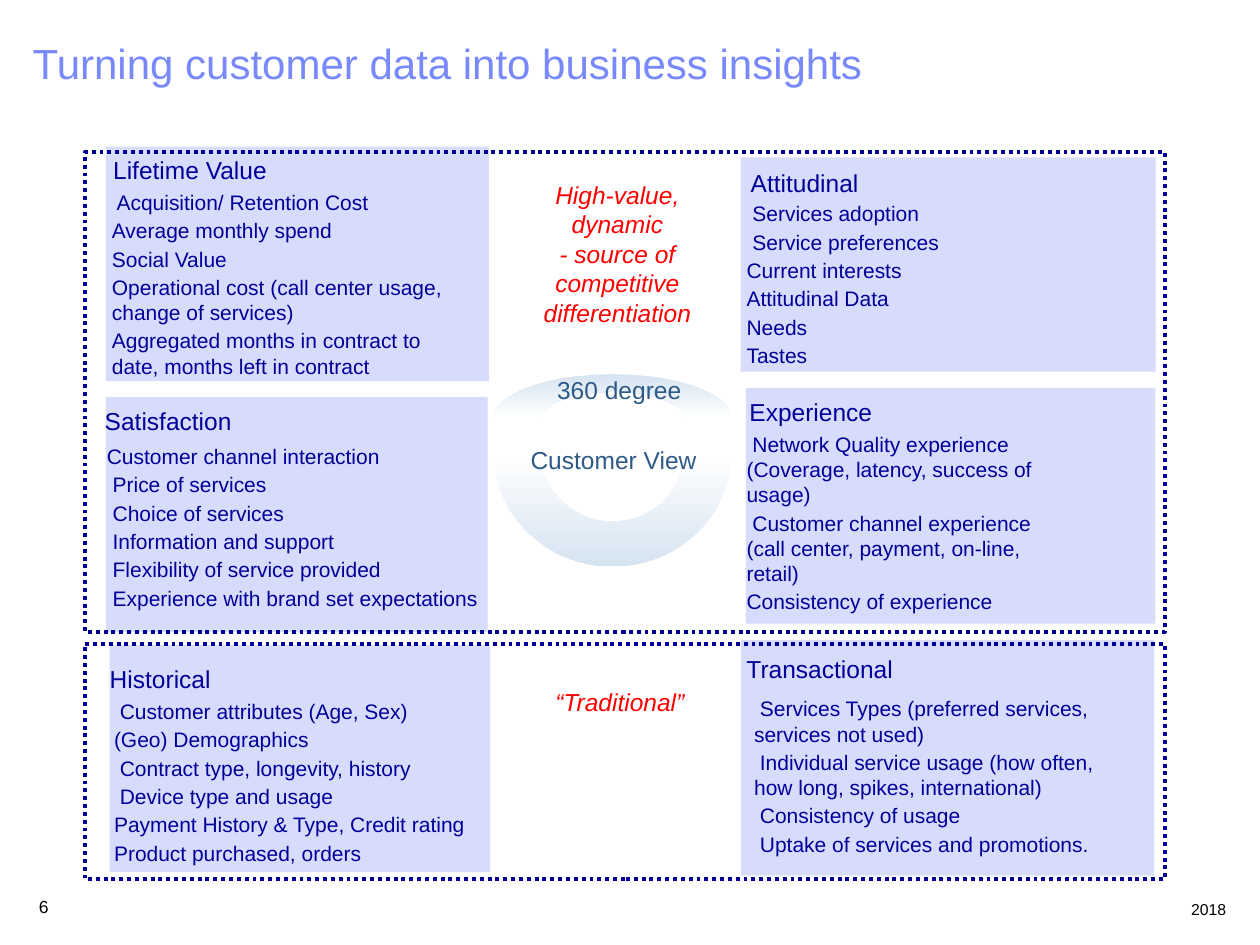
"""Build the slide on customer data and business insights."""
from lxml.etree import SubElement
from pptx import Presentation
from pptx.dml.color import RGBColor as Color
from pptx.enum.dml import MSO_LINE_DASH_STYLE as Dash
from pptx.enum.shapes import MSO_SHAPE as Shape
from pptx.enum.text import PP_ALIGN as Align
from pptx.oxml.ns import qn
from pptx.util import Inches, Pt

COLS, ROWS = 100, 75
WIDE, HIGH = Inches(10), Inches(7.5)
BEND = 0.55
NAVY = Color(0x00, 0x00, 0x99)
LILAC = Color(0xC3, 0xCA, 0xFD)
TITLE = Color(0x78, 0x89, 0xFB)
STEEL = Color(0x2D, 0x5A, 0x87)
PALE = Color(0xD6, 0xE4, 0xF2)
WHITE = Color(0xFF, 0xFF, 0xFF)
RED = Color(0xFF, 0x00, 0x00)
BLACK = Color(0x00, 0x00, 0x00)

PANELS = [
    ("Historical", (8.7, 51.2, 30.2, 18), (7.73, 52.2), (8.07, 55.35, 31.3, 13.5), [
        " Customer attributes (Age, Sex)",
        "(Geo) Demographics",
        " Contract type, longevity, history",
        " Device type and usage",
        "Payment History & Type, Credit rating",
        "Product purchased, orders"]),
    ("Transactional", (58.8, 50.8, 32.8, 18.7), (58.26, 51.4), (58.87, 55.13, 30.6, 13.1), [
        " Services Types (preferred services, services not used)",
        " Individual service usage (how often, how long, spikes, international)",
        " Consistency of usage",
        " Uptake of services and promotions."]),
    ("Satisfaction", (8.4, 31.5, 30.3, 18.7), (7.33, 31.7), (7.5, 35.12, 32.7, 13.7), [
        "Customer channel interaction",
        " Price of services",
        " Choice of services",
        " Information and support",
        " Flexibility of service provided",
        " Experience with brand set expectations"]),
    ("Experience", (59.2, 30.8, 32.5, 18.7), (58.5, 31), (58.27, 34.14, 28, 14.8), [
        " Network Quality experience (Coverage, latency, success of usage)",
        " Customer channel experience (call center, payment, on-line, retail)",
        "Consistency of experience"]),
    ("Attitudinal", (58.77, 12.5, 32.95, 17), (58.6, 12.85), (58.27, 15.84, 33.9, 13.7), [
        " Services adoption",
        " Service preferences",
        "Current interests",
        "Attitudinal Data",
        "Needs",
        "Tastes"]),
    ("Lifetime Value", (8.4, 11.65, 30.4, 18.6), (8, 11.8), (7.9, 14.94, 29.4, 15.4), [
        " Acquisition/ Retention Cost",
        "Average monthly spend",
        "Social Value",
        "Operational cost (call center usage, change of services)",
        "Aggregated months in contract to date, months left in contract"]),
]


def place(box):
    """Turn grid columns and rows into slide lengths."""
    left, top, wide, high = box
    return (int(left * WIDE / COLS), int(top * HIGH / ROWS),
            int(wide * WIDE / COLS), int(high * HIGH / ROWS))


def write(slide, box, text, size, color, align=Align.LEFT, italic=False,
          pad=0.05, side=0.1, wrap=True):
    """Add a text box with one paragraph per line of text."""
    frame = slide.shapes.add_textbox(*place(box)).text_frame
    frame.word_wrap = wrap
    frame.margin_top = frame.margin_bottom = Inches(pad)
    frame.margin_left = Inches(side)
    frame.text = text
    for rank, para in enumerate(frame.paragraphs):
        para.alignment = align
        if rank:
            para.space_before = Pt(0.15 * size)
        for run in para.runs:
            font = run.font
            font.name, font.size, font.italic = "Arial", Pt(size), italic
            font.color.rgb = color


def block(slide, box, color):
    """Add a plain filled rectangle without an outline."""
    rect = slide.shapes.add_shape(Shape.RECTANGLE, *place(box))
    rect.shadow.inherit = False
    rect.line.fill.background()
    rect.fill.solid()
    rect.fill.fore_color.rgb = color
    return rect


def panel(slide, head, area, spot, body, items):
    """Add a tinted panel with its heading and list."""
    rect = block(slide, area, LILAC)
    tint = rect.fill._xPr.find(qn("a:solidFill"))[0]
    SubElement(tint, qn("a:alpha")).set("val", "65000")
    write(slide, (*spot, 24, 3.3), head, 14, NAVY)
    write(slide, body, "\n".join(items), 12, NAVY, pad=0.01)


def border(slide, top, high):
    """Add a dotted frame around a band of panels."""
    rect = slide.shapes.add_shape(Shape.RECTANGLE, *place((6.74, top, 85.7, high)))
    rect.shadow.inherit = False
    rect.fill.background()
    rect.line.color.rgb = NAVY
    rect.line.width = Pt(2.25)
    rect.line.dash_style = Dash.ROUND_DOT


def curve(shape):
    """Bend the four quarter turns of a half ring into true curves."""
    dots = [(int(dot.get("x")), int(dot.get("y")))
            for dot in shape._element.iter(qn("a:pt"))]
    lines = list(shape._element.iter(qn("a:lnTo")))
    for rank, steep in ((0, True), (1, False), (3, True), (4, False)):
        (x, y), (u, v) = dots[rank], dots[rank + 1]
        if steep:
            grips = (x, y + BEND * (v - y)), (u + BEND * (x - u), v)
        else:
            grips = (x + BEND * (u - x), y), (u, v + BEND * (y - v))
        line = lines[rank]
        line.clear()
        line.tag = qn("a:cubicBezTo")
        for across, down in (*grips, (u, v)):
            dot = SubElement(line, qn("a:pt"))
            dot.set("x", str(round(across)))
            dot.set("y", str(round(down)))


def arch(slide, mid, outer, inner, tones):
    """Add half of a ring, given its signed heights, with a gradient."""
    hub, rim, hole = 48.62, 9.4, 5.65
    dots = [place((*dot, 0, 0))[:2] for dot in (
        (hub - hole, mid), (hub, mid + inner), (hub + hole, mid),
        (hub + rim, mid), (hub, mid + outer), (hub - rim, mid))]
    pen = slide.shapes.build_freeform(*dots[0])
    pen.add_line_segments(dots[1:])
    half = pen.convert_to_shape()
    curve(half)
    half.shadow.inherit = False
    half.line.fill.background()
    half.fill.gradient()
    half.fill.gradient_angle = 270
    for stop, tone in zip(half.fill.gradient_stops, tones):
        stop.color.rgb = tone


def main():
    """Build and save the slide."""
    deck = Presentation()
    deck.slide_width, deck.slide_height = WIDE, HIGH
    slide = deck.slides.add_slide(deck.slide_layouts[6])
    write(slide, (64.9, 70.9, 33.4, 2.5), "2018", 9, BLACK, Align.RIGHT)
    write(slide, (2.1, 70.6, 6, 2.7), "6", 10, BLACK)
    write(slide, (2.6, 2.5, 80, 6.6), "Turning customer data into business insights",
          24, TITLE, side=0)
    arch(slide, 36, 8.95, 5.4, (WHITE, PALE))
    arch(slide, 33.2, -3.5, -2.1, (PALE, WHITE))
    for left, top, text in ((40.7, 34.8, "Customer View"), (41.15, 29.3, "360 degree")):
        write(slide, (left, top, 16, 8.4), text, 14, STEEL, Align.CENTER, wrap=False)
    for item in PANELS[:-1]:
        panel(slide, *item)
    block(slide, (7, 17.5, 7.1, 11), WHITE)
    panel(slide, *PANELS[-1])
    border(slide, 12.06, 38.1)
    write(slide, (39.75, 13.8, 18.5, 12.6),
          "High-value, dynamic\v- source of competitive differentiation",
          14, RED, Align.CENTER, True)
    border(slide, 51.1, 18.7)
    write(slide, (39.95, 54, 18.5, 3.3), "“Traditional”", 14, RED, Align.CENTER, True)
    deck.save("out.pptx")


if __name__ == "__main__":
    main()
